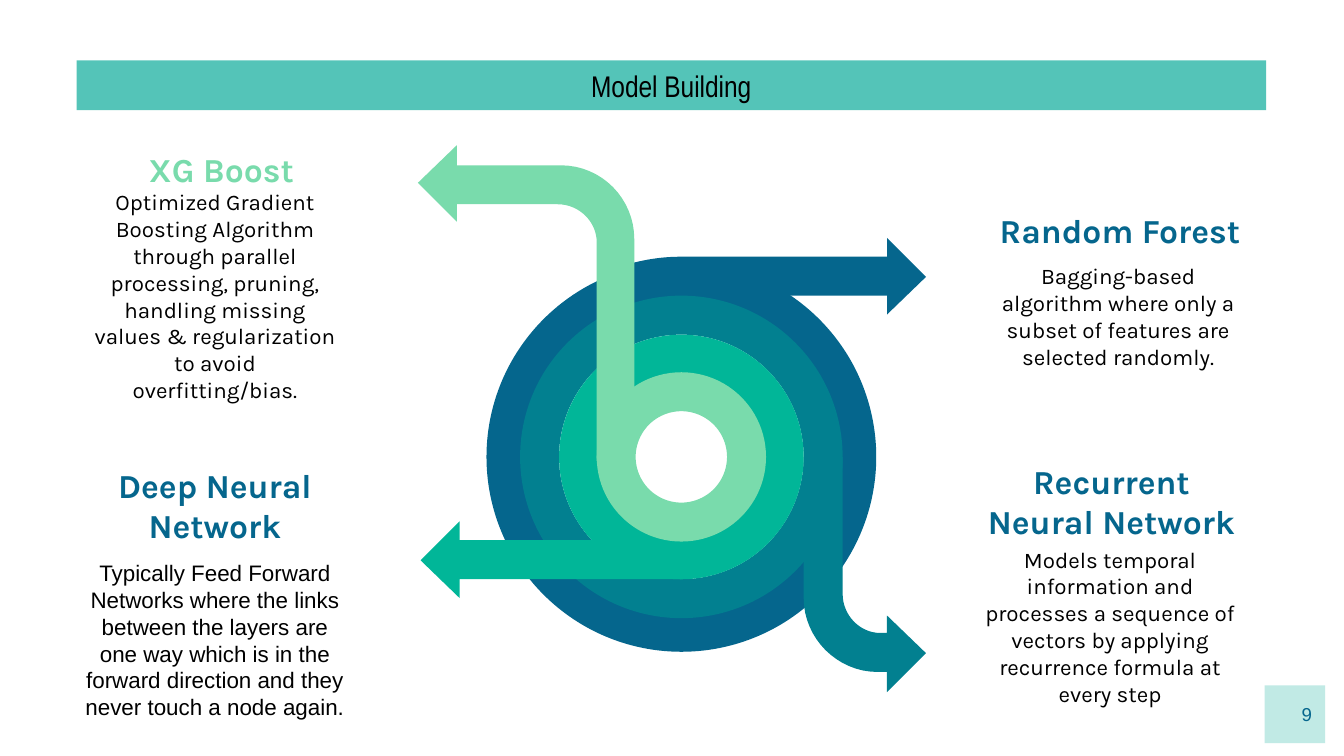
from typing import NamedTuple

from lxml.etree import SubElement
from pptx import Presentation
from pptx.dml.color import RGBColor
from pptx.enum.shapes import MSO_SHAPE
from pptx.enum.text import MSO_ANCHOR, PP_ALIGN
from pptx.oxml.ns import qn
from pptx.util import Inches, Pt

BLACK = RGBColor(0x00, 0x00, 0x00)
NAVY = RGBColor(0x05, 0x66, 0x8D)
TEAL = RGBColor(0x02, 0x80, 0x90)
GREEN = RGBColor(0x01, 0xB6, 0x98)
MINT = RGBColor(0x79, 0xDB, 0xAC)
BAR = RGBColor(0x00, 0xA8, 0x96)
TAG = RGBColor(0x54, 0xC5, 0xB9)

MID_X, MID_Y = 5.07, 3.4
BAND = 0.29
STEPS = 16

FRAME = {
    "word_wrap": True, "vertical_anchor": MSO_ANCHOR.MIDDLE,
    "margin_left": Inches(0.1), "margin_right": Inches(0.1),
    "margin_top": Inches(0.1), "margin_bottom": Inches(0.1),
}
HEAD = {"name": "Karla", "size": Pt(18), "bold": True}
BODY = {"name": "Karla", "size": Pt(12)}
PLAIN = {"name": "Arial", "size": Pt(12)}
TITLE = {"name": "Arial Narrow", "size": Pt(16)}
PAGE = {"name": "Arial", "size": Pt(10)}

CENTER = {"alignment": PP_ALIGN.CENTER}
LEFT = {"alignment": PP_ALIGN.JUSTIFY}
RIGHT = {"alignment": PP_ALIGN.RIGHT}
LINES = {"alignment": PP_ALIGN.CENTER, "line_spacing": Pt(14.4)}


class Ring(NamedTuple):
    radius: float
    color: RGBColor


class Arrow(NamedTuple):
    color: RGBColor
    steps: list  # (x, y) is a line, six numbers are a Bezier curve


class Label(NamedTuple):
    box: tuple
    text: str
    font: dict
    color: RGBColor
    para: dict


class Panel(NamedTuple):
    box: tuple
    fill: RGBColor
    alpha: int
    label: Label


RINGS = [Ring(1.45, NAVY), Ring(1.2, TEAL), Ring(0.91, GREEN), Ring(0.63, MINT)]

ARROWS = [
    Arrow(NAVY, [
        (6.6, 1.77), (6.6, 1.91), (5.07, 1.91),
        (4.85, 1.91, 4.65, 1.96, 4.47, 2.04), (4.47, 2.36),
        (4.64, 2.26, 4.85, 2.2, 5.07, 2.2),
        (6.6, 2.2), (6.6, 2.34), (6.89, 2.06)]),
    Arrow(TEAL, [
        (5.98, 3.4), (5.98, 4.45), (5.98, 4.75, 6.23, 5, 6.53, 5),
        (6.6, 5), (6.6, 5.15), (6.89, 4.86), (6.6, 4.58), (6.6, 4.71),
        (6.55, 4.71), (6.4, 4.71, 6.27, 4.58, 6.27, 4.42), (6.27, 3.4)]),
    Arrow(GREEN, [
        (3.42, 3.88), (3.13, 4.17), (3.42, 4.45), (3.42, 4.31),
        (5.07, 4.31), (5.07, 4.02), (3.42, 4.02)]),
    Arrow(MINT, [
        (3.4, 1.08), (3.11, 1.36), (3.4, 1.65), (3.4, 1.52), (4.15, 1.52),
        (4.31, 1.52, 4.44, 1.65, 4.44, 1.8), (4.44, 3.43), (4.72, 3.43),
        (4.72, 1.78), (4.72, 1.48, 4.48, 1.23, 4.17, 1.23), (3.4, 1.23)]),
]

LABELS = [
    Label((1.01, 1.13, 2.06, 0.26), "XG Boost", HEAD, MINT, LEFT),
    Label((0.57, 1.86, 2.06, 0.68),
          "Optimized Gradient Boosting Algorithm through parallel processing, "
          "pruning, handling missing values & regularization to avoid "
          "overfitting/bias.", BODY, BLACK, LINES),
    Label((7.34, 1.58, 2.06, 0.26), "Random Forest", HEAD, NAVY, LEFT),
    Label((7.29, 2.01, 2.06, 0.68),
          "Bagging-based algorithm where only a subset of features are "
          "selected randomly.", BODY, BLACK, LINES),
    Label((0.57, 3.49, 2.06, 0.54), "Deep Neural Network", HEAD, NAVY, CENTER),
    Label((0.5, 4.09, 2.2, 1.34),
          "Typically Feed Forward Networks where the links between the layers "
          "are one way which is in the forward direction and they never touch "
          "a node again.", PLAIN, BLACK, LINES),
    Label((7.14, 3.43, 2.26, 0.6), "Recurrent\vNeural Network",
          HEAD, NAVY, CENTER),
    Label((7.23, 4.17, 2.06, 0.98),
          "Models temporal information and processes a sequence of vectors by "
          "applying recurrence formula at every step", BODY, BLACK, LINES),
]

TOP = (0.57, 0.45, 8.85, 0.37)
END = (9.41, 5.1, 0.45, 0.43)
PANELS = [
    Panel(TOP, BAR, 67, Label(TOP, "Model Building", TITLE, BLACK, CENTER)),
    Panel(END, TAG, 36, Label(END, "9", PAGE, NAVY, RIGHT)),
]


def apply(target, values: dict) -> None:
    for key, value in values.items():
        setattr(target, key, value)


def paint(shape, color: RGBColor) -> None:
    shape.shadow.inherit = False
    shape.fill.solid()
    shape.fill.fore_color.rgb = color
    shape.line.fill.background()


def write(shape, label: Label) -> None:
    frame = shape.text_frame
    apply(frame, FRAME)
    para = frame.paragraphs[0]
    para.text = label.text
    apply(para, label.para)
    for run in para.runs:
        apply(run.font, label.font)
        run.font.color.rgb = label.color


def draw_ring(slide, ring: Ring) -> None:
    size = 2 * ring.radius
    shape = slide.shapes.add_shape(
        MSO_SHAPE.DONUT, Inches(MID_X - ring.radius),
        Inches(MID_Y - ring.radius), Inches(size), Inches(size))
    shape.adjustments[0] = BAND / size
    paint(shape, ring.color)


def trace(steps: list) -> list:
    points = []
    for step in steps:
        if len(step) == 2:
            points.append(step)
            continue
        nodes = [points[-1], step[:2], step[2:4], step[4:]]
        for i in range(1, STEPS + 1):
            t = i / STEPS
            parts = ((1 - t) ** 3, 3 * t * (1 - t) ** 2,
                     3 * t * t * (1 - t), t ** 3)
            points.append(tuple(
                sum(p * node[axis] for p, node in zip(parts, nodes))
                for axis in (0, 1)))
    return points


def draw_arrow(slide, arrow: Arrow) -> None:
    points = [(Inches(x), Inches(y)) for x, y in trace(arrow.steps)]
    pen = slide.shapes.build_freeform(*points[0])
    pen.add_line_segments(points[1:], close=True)
    paint(pen.convert_to_shape(), arrow.color)


def draw_label(slide, label: Label) -> None:
    write(slide.shapes.add_textbox(*map(Inches, label.box)), label)


def draw_panel(slide, panel: Panel) -> None:
    shape = slide.shapes.add_shape(
        MSO_SHAPE.RECTANGLE, *map(Inches, panel.box))
    paint(shape, panel.fill)
    color = shape.element.spPr.find(qn("a:solidFill"))[0]
    SubElement(color, qn("a:alpha"), val=str(panel.alpha * 1000))
    write(shape, panel.label)


def main() -> None:
    deck = Presentation()
    deck.slide_width = Inches(10)
    deck.slide_height = Inches(10) * 9 // 16
    slide = deck.slides.add_slide(deck.slide_layouts[6])

    # Rings from the outside in, each with its arrow
    for ring, arrow in zip(RINGS, ARROWS):
        draw_ring(slide, ring)
        draw_arrow(slide, arrow)

    # Model names and notes
    for label in LABELS:
        draw_label(slide, label)

    # Title bar and page number
    for panel in PANELS:
        draw_panel(slide, panel)

    deck.save("out.pptx")


if __name__ == "__main__":
    main()
